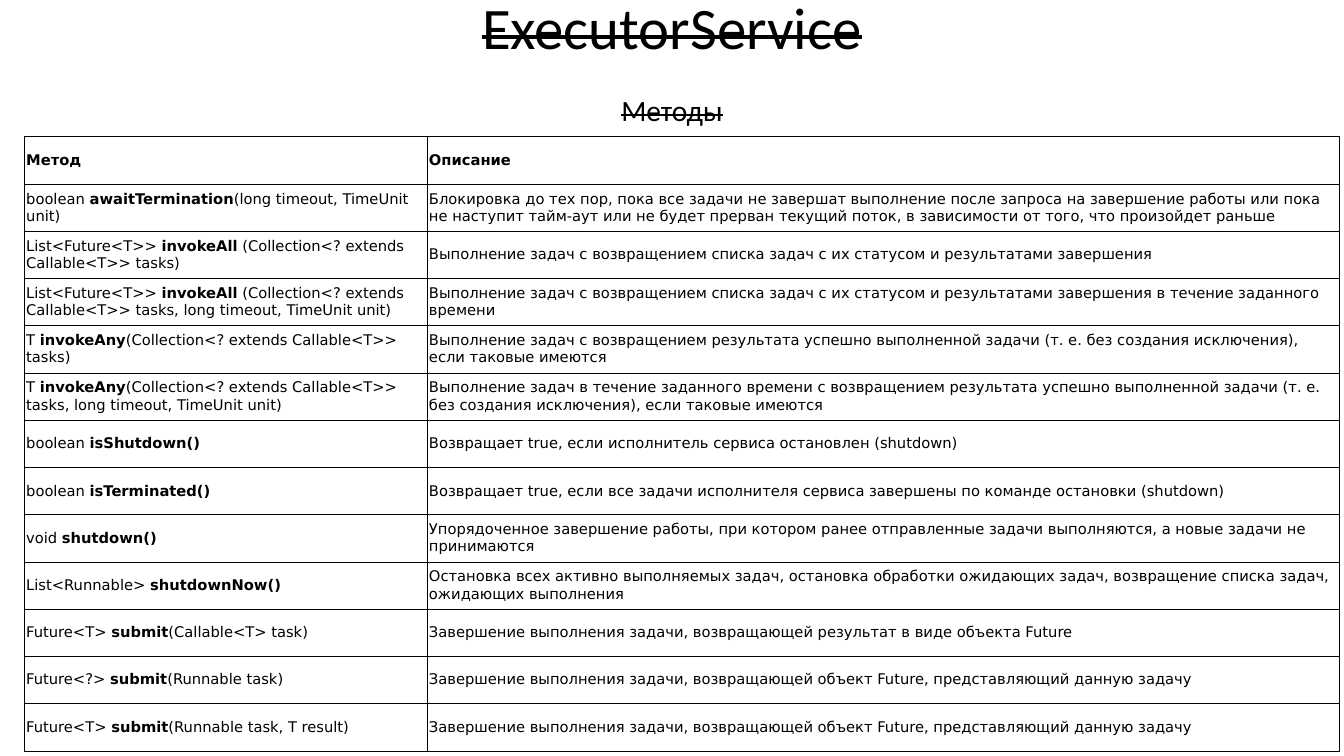
from lxml.etree import SubElement
from pptx import Presentation
from pptx.dml.color import RGBColor
from pptx.enum.text import MSO_ANCHOR as Anchor, PP_ALIGN as Align
from pptx.oxml.ns import qn
from pptx.util import Inches, Pt

# Content
TITLE = "ExecutorService"
SUBTITLE = "Методы"
HEADER = (("", "Метод", ""), "Описание")
# Each method: (return type, bold name, arguments), description
METHODS = [
    (("boolean ", "awaitTermination", "(long timeout, TimeUnit unit)"),
     "Блокировка до тех пор, пока все задачи не завершат выполнение после запроса на завершение "
     "работы или пока не наступит тайм-аут или не будет прерван текущий поток, в зависимости "
     "от того, что произойдет раньше"),
    (("List<Future<T>> ", "invokeAll", " (Collection<? extends Callable<T>> tasks)"),
     "Выполнение задач с возвращением списка задач с их статусом и результатами завершения"),
    (("List<Future<T>> ", "invokeAll",
      " (Collection<? extends Callable<T>> tasks, long timeout, TimeUnit unit)"),
     "Выполнение задач с возвращением списка задач с их статусом и результатами завершения "
     "в течение заданного времени"),
    (("T ", "invokeAny", "(Collection<? extends Callable<T>> tasks)"),
     "Выполнение задач с возвращением результата успешно выполненной задачи "
     "(т. е. без создания исключения), если таковые имеются"),
    (("T ", "invokeAny", "(Collection<? extends Callable<T>> tasks, long timeout, TimeUnit unit)"),
     "Выполнение задач в течение заданного времени с возвращением результата успешно "
     "выполненной задачи (т. е. без создания исключения), если таковые имеются"),
    (("boolean ", "isShutdown()", ""),
     "Возвращает true, если исполнитель сервиса остановлен (shutdown)"),
    (("boolean ", "isTerminated()", ""),
     "Возвращает true, если все задачи исполнителя сервиса завершены по команде остановки (shutdown)"),
    (("void ", "shutdown()", ""),
     "Упорядоченное завершение работы, при котором ранее отправленные задачи выполняются, "
     "а новые задачи не принимаются"),
    (("List<Runnable> ", "shutdownNow()", ""),
     "Остановка всех активно выполняемых задач, остановка обработки ожидающих задач, "
     "возвращение списка задач, ожидающих выполнения"),
    (("Future<T> ", "submit", "(Callable<T> task)"),
     "Завершение выполнения задачи, возвращающей результат в виде объекта Future"),
    (("Future<?> ", "submit", "(Runnable task)"),
     "Завершение выполнения задачи, возвращающей объект Future, представляющий данную задачу"),
    (("Future<T> ", "submit", "(Runnable task, T result)"),
     "Завершение выполнения задачи, возвращающей объект Future, представляющий данную задачу"),
]

THEME = {
    "ink": "000000", "paper": "FFFFFF",
    "heading_font": "Calibri", "table_font": "DejaVu Sans",
    "title_size": 84, "subtitle_size": 42, "table_size": 21, "border": 0.45,
}
COLUMN_WIDTHS = (7.99, 18.1)
TABLE_LEFT, TABLE_TOP, TABLE_HEIGHT = 0.48, 2.71, 12.19


def style_para(para, font_name, size):
    para.font.name = font_name
    para.font.size = Pt(size)
    para.font.color.rgb = RGBColor.from_string(THEME["ink"])


def add_heading(page, text, top, height, size, line_spacing=1.0):
    box = page.shapes.add_textbox(Inches(1.33), Inches(top), Inches(24), Inches(height))
    frame = box.text_frame
    frame.word_wrap = True
    frame.vertical_anchor = Anchor.TOP
    frame.margin_left = frame.margin_right = Inches(0.06)
    frame.margin_top = frame.margin_bottom = Inches(0.06)
    para = frame.paragraphs[0]
    para.alignment = Align.CENTER
    para.line_spacing = line_spacing
    style_para(para, THEME["heading_font"], size)
    span = para.add_run()
    span.text = text
    span.font.bold = False
    span.font._element.set("strike", "sngStrike")


def add_borders(cell):
    properties = cell._tc.get_or_add_tcPr()
    for position, side in enumerate(("lnL", "lnR", "lnT", "lnB")):
        line = SubElement(properties, qn(f"a:{side}"), w=str(Pt(THEME["border"])))
        fill = SubElement(line, qn("a:solidFill"))
        SubElement(fill, qn("a:srgbClr"), val=THEME["ink"])
        properties.insert(position, line)  # borders come before the cell fill


def fill_cell(cell, spans):
    cell.fill.solid()
    cell.fill.fore_color.rgb = RGBColor.from_string(THEME["paper"])
    add_borders(cell)
    cell.vertical_anchor = Anchor.MIDDLE
    cell.margin_left = cell.margin_right = Inches(0.04)
    cell.margin_top = cell.margin_bottom = Inches(0.05)
    para = cell.text_frame.paragraphs[0]
    style_para(para, THEME["table_font"], THEME["table_size"])
    for text, bold in spans:
        if text:
            span = para.add_run()
            span.text = text
            span.font.bold = bold


def add_method_table(page):
    rows = [HEADER] + METHODS
    table = page.shapes.add_table(
        len(rows), len(COLUMN_WIDTHS), Inches(TABLE_LEFT), Inches(TABLE_TOP),
        Inches(sum(COLUMN_WIDTHS)), Inches(TABLE_HEIGHT)).table
    table.first_row = table.horz_banding = False
    for column, width in zip(table.columns, COLUMN_WIDTHS):
        column.width = Inches(width)
    for index, (signature, description) in enumerate(rows):
        table.rows[index].height = Inches(TABLE_HEIGHT / len(rows))
        fill_cell(table.cell(index, 0), zip(signature, (False, True, False)))
        fill_cell(table.cell(index, 1), [(description, index == 0)])


def main():
    deck = Presentation()
    deck.slide_width, deck.slide_height = Inches(26.66), Inches(15)
    page = deck.slides.add_slide(deck.slide_layouts[6])
    # Headings
    add_heading(page, TITLE, 0.03, 1.89, THEME["title_size"], line_spacing=0.8)
    add_heading(page, SUBTITLE, 1.77, 0.91, THEME["subtitle_size"])
    # Methods and what they do
    add_method_table(page)
    deck.save("out.pptx")


if __name__ == "__main__":
    main()
